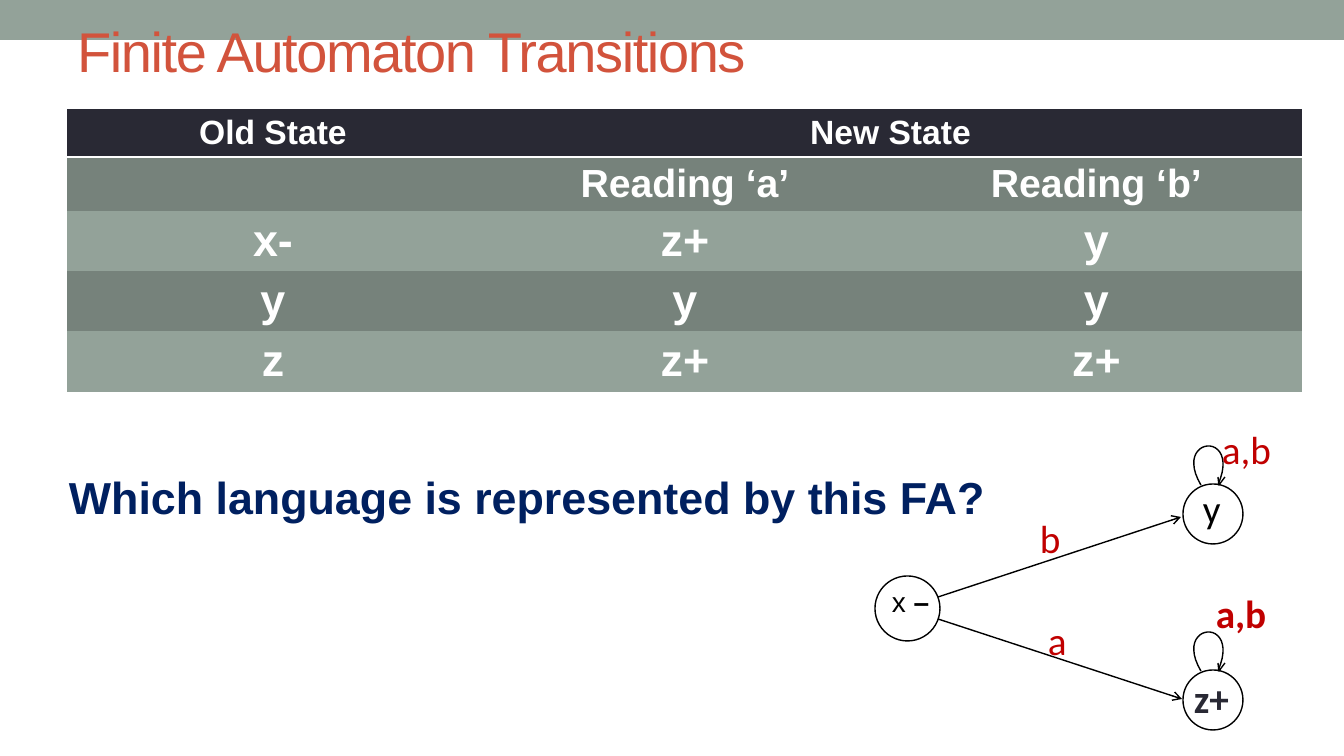
from lxml import etree
from pptx import Presentation
from pptx import util as u
from pptx.dml import color
from pptx.enum import shapes, text
from pptx.oxml import ns

PX = 914400 / 100.8
INK, RED, NAVY, WHITE = "000000", "C00000", "002060", "FFFFFF"
SAGE, MOSS, SLATE, CORAL = "93A299", "76827B", "292934", "D2533C"


def px(n):
    return u.Emu(round(n * PX))


def rgb(value):
    return color.RGBColor.from_string(value)


def sub(parent, tag, **attrs):
    return etree.SubElement(parent, ns.qn(tag), attrs)


class Deck:
    def __init__(self, width, height):
        self.prs = Presentation()
        self.prs.slide_width, self.prs.slide_height = px(width), px(height)
        self.s = self.prs.slides.add_slide(self.prs.slide_layouts[5])

    def font(self, f, size, c, name="Arial", bold=False):
        f.size, f.name, f.bold = u.Pt(size), name, bold
        f.color.rgb = rgb(c)

    def outline(self, sp):
        sp.line.color.rgb = rgb(INK)
        sp.line.width = u.Pt(1)

    def title(self, words, x, y, w, h):
        sp = self.s.shapes.title
        sp.left, sp.top, sp.width, sp.height = map(px, (x, y, w, h))
        tf = sp.text_frame
        tf.text = words
        tf.vertical_anchor = text.MSO_ANCHOR.MIDDLE
        p = tf.paragraphs[0]
        p.alignment = text.PP_ALIGN.LEFT
        self.font(p.font, 40, CORAL)
        p.runs[0].font._element.set("spc", "-100")

    def band(self, x, y, w, h):
        sp = self.s.shapes.add_shape(shapes.MSO_SHAPE.RECTANGLE, *map(px, (x, y, w, h)))
        sp.shadow.inherit = False
        sp.fill.solid()
        sp.fill.fore_color.rgb = rgb(SAGE)
        sp.line.fill.background()
        self.s.shapes._spTree.insert(2, sp._element)

    def text(self, words, x, y, w, h, size=28, c=RED, name="Calibri", bold=False):
        tf = self.s.shapes.add_textbox(*map(px, (x, y, w, h))).text_frame
        tf.word_wrap = True
        p = tf.paragraphs[0]
        p.text = words
        p.space_after = u.Pt(10)
        self.font(p.font, size, c, name, bold)
        return p

    def state(self, x, y, w, h):
        sp = self.s.shapes.add_shape(shapes.MSO_SHAPE.OVAL, *map(px, (x, y, w, h)))
        sp.shadow.inherit = False
        sp.fill.solid()
        sp.fill.fore_color.rgb = rgb(WHITE)
        self.outline(sp)

    def arrow(self, *ends):
        cn = self.s.shapes.add_connector(shapes.MSO_CONNECTOR.STRAIGHT, *map(px, ends))
        self.outline(cn)
        sub(cn.line._get_or_add_ln(), "a:tailEnd", type="arrow")
        sub(cn._element.spPr, "a:effectLst")

    def stroke(self, points):
        pts = [(x * 10, y * 10) for x, y in points]
        fb = self.s.shapes.build_freeform(*pts[0], scale=PX / 10)
        fb.add_line_segments(pts[1:], close=False)
        sp = fb.convert_to_shape()
        sp.shadow.inherit = False
        sp.fill.background()
        self.outline(sp)

    def loop(self, x, y):
        controls = (0, 0), (-29, -49), (41, -55), (17, 0)
        curve = []
        for i in range(25):
            t = i / 24
            weights = (1 - t) ** 3, 3 * t * (1 - t) ** 2, 3 * t * t * (1 - t), t ** 3
            curve.append((x + sum(k * a for k, (a, b) in zip(weights, controls)),
                          y + sum(k * b for k, (a, b) in zip(weights, controls))))
        self.stroke(curve)
        self.stroke([(x + 24, y - 8), (x + 18, y), (x + 17, y - 8)])

    def table(self, rows, x, y, widths, heights, sizes, fills):
        frame = self.s.shapes.add_table(len(rows), len(widths),
                                        *map(px, (x, y, sum(widths), sum(heights))))
        tbl = frame.table
        style = tbl._tbl.tblPr.find(ns.qn("a:tableStyleId"))
        style.text = "{2D5ABB26-0587-4C30-8999-92F81FD0307C}"
        for col, w in zip(tbl.columns, widths):
            col.width = px(w)
        for i, row in enumerate(rows):
            tbl.rows[i].height = px(heights[i])
            for j, words in enumerate(row):
                cell = tbl.cell(i, j)
                cell.margin_top = cell.margin_bottom = px(5)
                cell.fill.solid()
                cell.fill.fore_color.rgb = rgb(fills[i])
                p = cell.text_frame.paragraphs[0]
                p.text = words
                p.alignment = text.PP_ALIGN.CENTER
                self.font(p.font, sizes[i], WHITE, bold=True)
                if i == 0:
                    self.underline(cell)
        tbl.cell(0, 1).merge(tbl.cell(0, 2))

    def underline(self, cell):
        tcPr = cell._tc.get_or_add_tcPr()
        ln = sub(tcPr, "a:lnB", w=str(u.Pt(2)))
        sub(sub(ln, "a:solidFill"), "a:srgbClr", val=WHITE)
        tcPr.insert(0, ln)


def main():
    d = Deck(1344, 756)
    d.band(0, 0, 1344, 40)
    d.title("Finite Automaton Transitions", 67, 0, 1187, 101)
    d.table([("Old State", "New State", ""),
             ("", "Reading ‘a’", "Reading ‘b’"),
             ("x-", "z+", "y"),
             ("y", "y", "y"),
             ("z", "z+", "z+")],
            67, 109, (412, 412, 411), (48, 54, 60, 60, 60),
            (24, 28, 32, 32, 32), (SLATE, MOSS, SAGE, MOSS, SAGE))

    question = d.text("Which language is represented by this FA?", 59, 471, 1235, 109,
                      32, NAVY, "Arial", True)
    question.line_spacing = 0.9
    question.space_before, question.space_after = u.Pt(14), u.Pt(0)

    d.state(1183, 484, 60, 60)
    d.text("y", 1193, 479, 77, 77, c=INK)
    d.state(875, 576, 65, 65)
    start = d.text("x ", 882, 580, 86, 59, 20, INK, "Arial")
    minus = start.add_run()
    minus.text = "–"
    minus.font.bold = True
    d.state(1183, 670, 60, 60)
    d.text("z+", 1184, 669, 98, 69, c=SLATE, bold=True)

    d.arrow(938, 597, 1181, 517)
    d.arrow(938, 619, 1182, 699)
    for y in (485, 671):
        d.loop(1201, y)
    for words, x, y, bold in (("a", 1038, 611, False), ("b", 1030, 509, False),
                              ("a,b", 1212, 420, False), ("a,b", 1206, 584, True)):
        d.text(words, x, y, 92, 64, bold=bold)
    d.prs.save("out.pptx")


if __name__ == "__main__":
    main()
